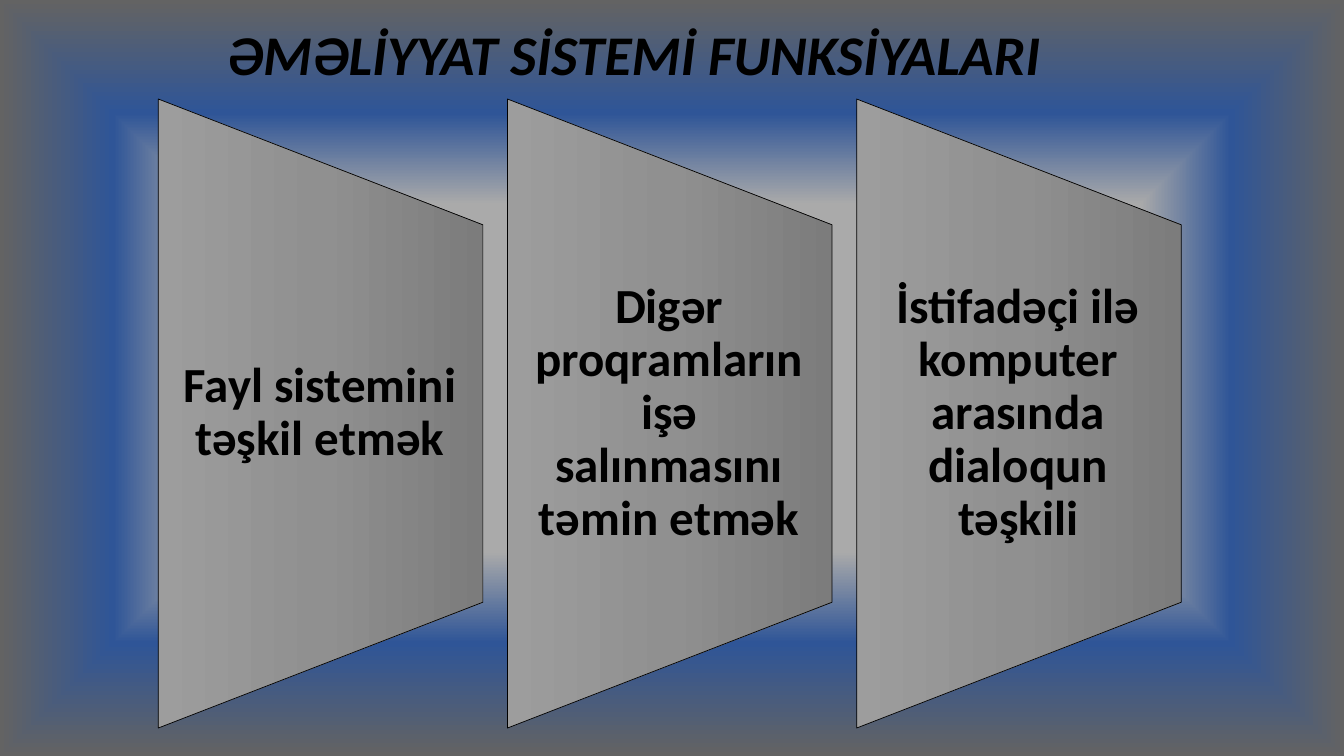
"""Build a slide on the functions of an operating system."""
import dataclasses
import typing

import pptx
import pptx.dml.color
import pptx.enum.shapes
import pptx.enum.text
import pptx.oxml
import pptx.oxml.ns
import pptx.presentation
import pptx.slide
import pptx.text.text
import pptx.util

Cm = pptx.util.Cm
Stops = list[tuple[int, str]]

HUES = {
    "ink": "000000",
    "haze": "AAAAAA",
    "blue": "2F5597",
    "edge": "636363",
    "light": "9D9D9D",
    "mid": "909090",
    "dark": "7C7C7C",
}
FONT = "Calibri"
LEFT, STEP = 3.99, 8.8
WIDE, HIGH = 8.18, 15.85
MID = 10.42
TEXT_HIGH = 9.53
BACK: Stops = [(46, "haze"), (70, "blue"), (100, "edge")]
FACE: Stops = [(0, "light"), (50, "mid"), (100, "dark")]
GLOW = (
    '<a:path path="shape"><a:fillToRect l="50000" t="50000" '
    'r="50000" b="50000"/></a:path>'
)
DOWN = '<a:lin ang="5400000" scaled="0"/>'


@dataclasses.dataclass(frozen=True)
class Panel:
    """One function of the system, with its column."""

    col: int
    text: str

    @property
    def left(self) -> float:
        """Return the left edge in centimetres."""
        return LEFT + self.col * STEP


PANELS = [
    Panel(0, "Fayl sistemini təşkil etmək"),
    Panel(1, "Digər proqramların işə salınmasını təmin etmək"),
    Panel(2, "İstifadəçi ilə komputer arasında dialoqun təşkili"),
]


def blend(node: typing.Any, stops: Stops, way: str) -> None:
    """Swap the solid fill under a node for a gradient."""
    marks = "".join(
        f'<a:gs pos="{pos * 1000}"><a:srgbClr val="{HUES[hue]}"/></a:gs>'
        for pos, hue in stops
    )
    grad = pptx.oxml.parse_xml(
        f'<a:gradFill {pptx.oxml.ns.nsdecls("a")} rotWithShape="1">'
        f"<a:gsLst>{marks}</a:gsLst>{way}</a:gradFill>"
    )
    solid = node.find(".//" + pptx.oxml.ns.qn("a:solidFill"))
    solid.getparent().replace(solid, grad)


def write(
    frame: pptx.text.text.TextFrame,
    text: str,
    size: int,
    align: pptx.enum.text.PP_ALIGN,
    slant: bool = False,
) -> None:
    """Put one bold run into a frame."""
    frame.word_wrap = True
    frame.auto_size = pptx.enum.text.MSO_AUTO_SIZE.NONE
    frame.vertical_anchor = pptx.enum.text.MSO_ANCHOR.MIDDLE
    para = frame.paragraphs[0]
    para.alignment = align
    para.line_spacing = 0.9
    run = para.add_run()
    run.text = text
    font = run.font
    font.name, font.size = FONT, pptx.util.Pt(size)
    font.bold, font.italic = True, slant
    font.color.rgb = pptx.dml.color.RGBColor.from_string(HUES["ink"])


def add_title(slide: pptx.slide.Slide) -> None:
    """Place and fill the title."""
    title = slide.shapes.title
    title.left, title.top = Cm(5.46), Cm(0.41)
    title.width, title.height = Cm(22.58), Cm(2.08)
    write(
        title.text_frame,
        "ƏMƏLİYYAT SİSTEMİ FUNKSİYALARI",
        40,
        pptx.enum.text.PP_ALIGN.LEFT,
        True,
    )


def add_panel(slide: pptx.slide.Slide, panel: Panel) -> None:
    """Draw a panel turned on its side, and its text."""
    shape = slide.shapes.add_shape(
        pptx.enum.shapes.MSO_SHAPE.FLOWCHART_MANUAL_OPERATION,
        Cm(panel.left + (WIDE - HIGH) / 2),
        Cm(MID - WIDE / 2),
        Cm(HIGH),
        Cm(WIDE),
    )
    shape.rotation = 270
    shape.shadow.inherit = False
    shape.fill.solid()
    blend(shape.element.spPr, FACE, DOWN)
    shape.line.color.rgb = pptx.dml.color.RGBColor.from_string(HUES["ink"])
    shape.line.width = pptx.util.Pt(0.5)

    box = slide.shapes.add_textbox(
        Cm(panel.left), Cm(MID - TEXT_HIGH / 2), Cm(WIDE), Cm(TEXT_HIGH)
    )
    frame = box.text_frame
    frame.margin_left, frame.margin_right = Cm(0.61), Cm(0.64)
    frame.margin_top = frame.margin_bottom = 0
    write(frame, panel.text, 35, pptx.enum.text.PP_ALIGN.CENTER)


def main() -> None:
    """Build and save the deck."""
    deck = pptx.Presentation()
    deck.slide_width, deck.slide_height = Cm(33.87), Cm(19.05)
    slide = deck.slides.add_slide(deck.slide_layouts[5])
    slide.background.fill.solid()
    blend(slide.element, BACK, GLOW)
    add_title(slide)
    for panel in PANELS:
        add_panel(slide, panel)
    deck.save("out.pptx")


if __name__ == "__main__":
    main()
